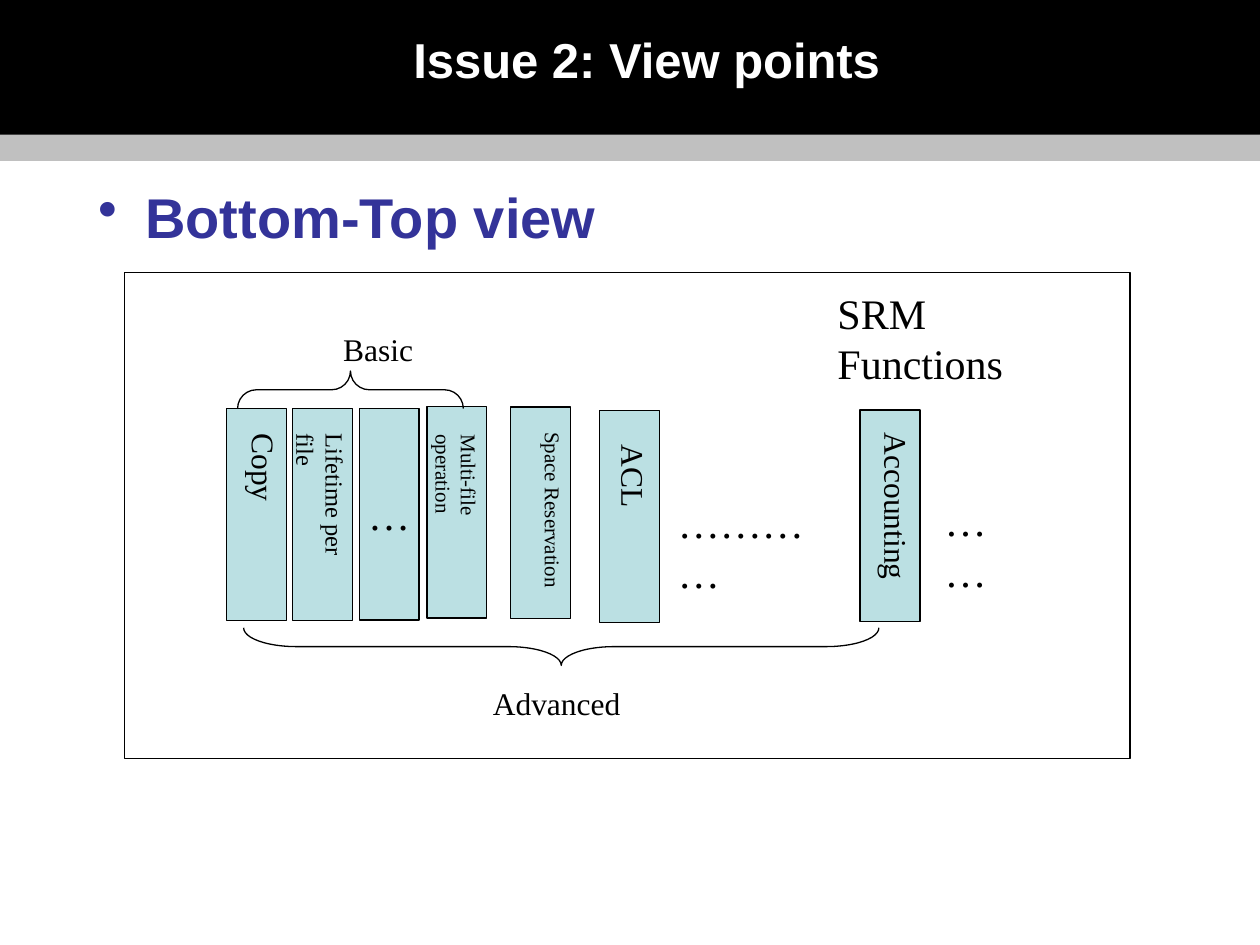
"""Build the slide showing basic and advanced SRM functions, seen bottom to top."""
from lxml.etree import SubElement
from pptx import Presentation
from pptx.dml.color import RGBColor
from pptx.enum.shapes import MSO_SHAPE
from pptx.enum.text import MSO_ANCHOR, MSO_AUTO_SIZE, PP_ALIGN
from pptx.oxml.ns import qn
from pptx.util import Pt


def add_shape(kind, left, top, width, height, fill=None, line=None):
    shape = page.shapes.add_shape(kind, Pt(left), Pt(top), Pt(width), Pt(height))
    shape.shadow.inherit = False
    for paint, color in ((shape.fill, fill), (shape.line.fill, line)):
        if color:
            paint.solid()
            paint.fore_color.rgb = RGBColor.from_string(color)
        else:
            paint.background()
    if line:
        shape.line.width = Pt(0.75)
    return shape


def write(box, text, size, font="Times New Roman", color="000000", wrap=True):
    frame = box.text_frame
    frame.word_wrap = wrap
    para = frame.paragraphs[0]
    para.text = text
    para.font.size = Pt(size)
    para.font.name = font
    para.font.bold = font == "Arial"
    para.font.color.rgb = RGBColor.from_string(color)
    return para


deck = Presentation()
deck.slide_width, deck.slide_height = Pt(720), Pt(540)
page = deck.slides.add_slide(deck.slide_layouts[6])

add_shape(MSO_SHAPE.RECTANGLE, 0, 0, 720, 84, "000000")
add_shape(MSO_SHAPE.RECTANGLE, 0, 77, 720, 15, "C0C0C0")

title = page.shapes.add_textbox(Pt(147), Pt(0), Pt(445), Pt(67.5))
title.text_frame.vertical_anchor = MSO_ANCHOR.MIDDLE
write(title, "Issue 2: View points", 28, "Arial", "FFFFFF").alignment = PP_ALIGN.CENTER

body = page.shapes.add_textbox(Pt(49), Pt(101), Pt(626), Pt(399))
bullet = write(body, "Bottom-Top view", 32, "Arial", "333399")
bullet.space_before = Pt(8)
properties = bullet.font._element.getparent()
properties.set("marL", str(Pt(27)))
properties.set("indent", str(Pt(-27)))
mark = SubElement(properties, qn("a:buChar"))
mark.set("char", "•")
properties.remove(mark)
properties.insert(list(properties).index(bullet.font._element), mark)

add_shape(MSO_SHAPE.RECTANGLE, 71.25, 155.75, 574.5, 277.75, line="000000")

bars = [(342.5, 234.75), (491.5, 234.25), (129.5, 233.5), (167.25, 233.5),
        (205.25, 233.25), (244, 232.25), (291.75, 232.5)]
for left, top in bars:
    bar = add_shape(MSO_SHAPE.RECTANGLE, left, top, 34.25, 121, "BBE0E3", "000000")
    if left == 205.25:
        bar.text_frame.vertical_anchor = MSO_ANCHOR.MIDDLE
        write(bar, "…", 24, wrap=False).alignment = PP_ALIGN.CENTER

braces = [(189.5, 158.25, 129, 90, 0.5), (310, 188, 363, 270, 1.4)]
for left, top, height, rotation, curve in braces:
    brace = add_shape(MSO_SHAPE.LEFT_BRACE, left, top, 21.5, height, line="000000")
    brace.rotation = rotation
    brace.adjustments[0] = curve

labels = [
    ("SRM Functions", 471.5, 160.75, 165.5, 36, 24, False),
    ("…………", 380.25, 280, 110, 36, 24, False),
    ("……", 532.75, 279.25, 62, 36, 24, False),
    ("Advanced", 274.5, 387.5, 111.5, 29, 18, True),
    ("Basic", 189, 185, 60.5, 29, 18, True),
]
for text, left, top, width, height, size, wrap in labels:
    label = page.shapes.add_textbox(Pt(left), Pt(top), Pt(width), Pt(height))
    label.text_frame.auto_size = MSO_AUTO_SIZE.SHAPE_TO_FIT_TEXT
    write(label, text, size, wrap=wrap)

names = [
    ("ACL", 340.75, 247, 36, 88, 18),
    ("Accounting", 491, 240, 36, 104.5, 18),
    ("Copy", 129.5, 240.5, 36, 104.5, 18),
    ("Space Reservation", 298, 239.75, 29, 104.5, 12),
    ("Multi-file operation", 250, 241, 29, 104.5, 12),
    ("Lifetime per file", 172.75, 240.5, 31, 104.5, 14),
]
for text, left, top, width, height, size in names:
    name = page.shapes.add_textbox(Pt(left), Pt(top), Pt(width), Pt(height))
    frame = name.text_frame
    frame.margin_left = frame.margin_right = Pt(3.6)
    frame.margin_top = frame.margin_bottom = Pt(7.2)
    frame.auto_size = MSO_AUTO_SIZE.SHAPE_TO_FIT_TEXT
    name.element.txBody.bodyPr.set("vert", "eaVert")
    write(name, text, size).space_before = Pt(size * 0.625)

deck.save("out.pptx")
